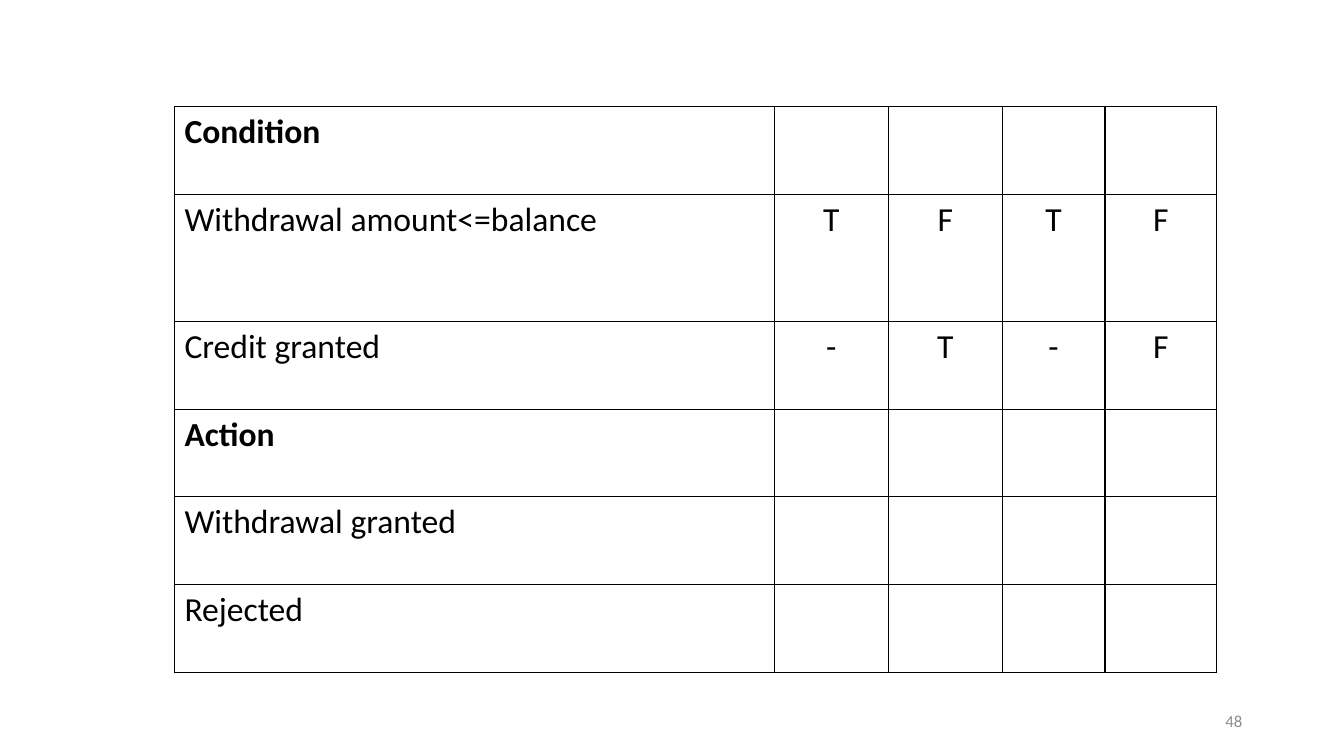
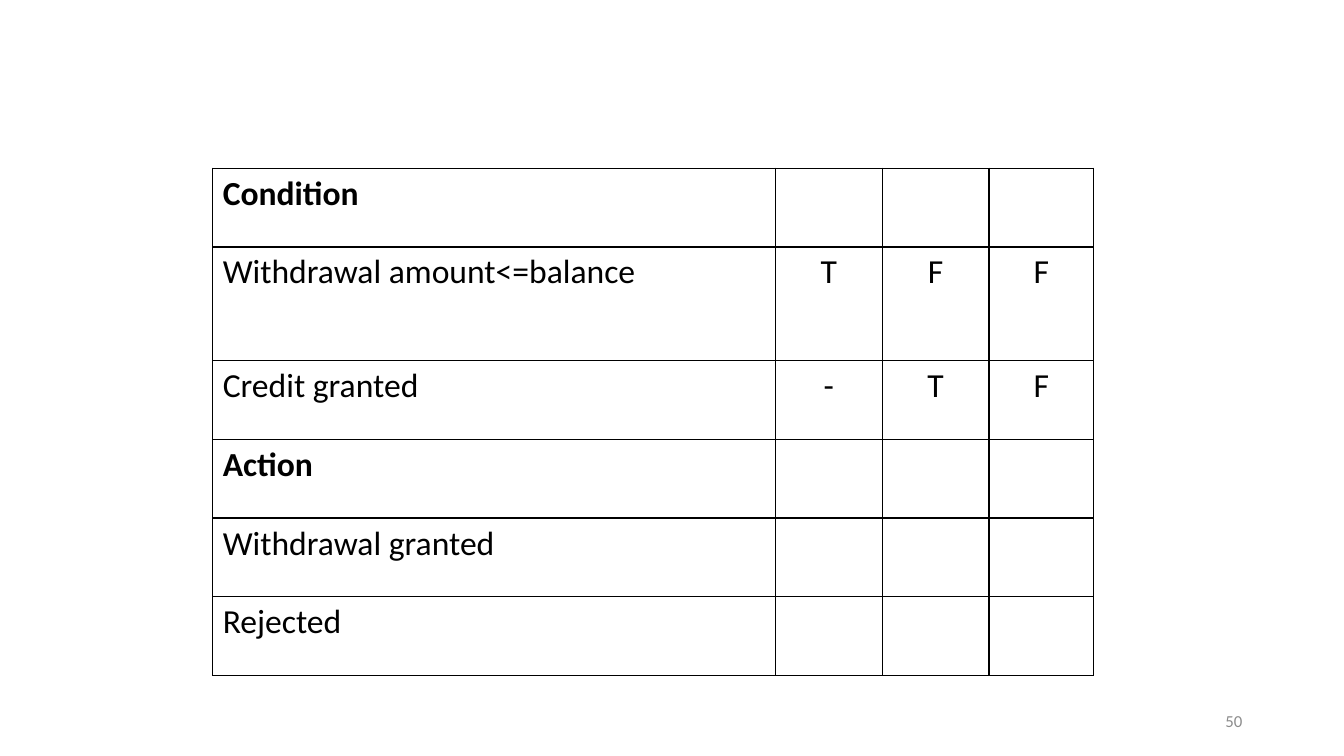
import pptx
import pptx.dml.color
import pptx.enum.text
import pptx.oxml.ns
import pptx.util
from lxml import etree

Inches, Pt = pptx.util.Inches, pptx.util.Pt
RGBColor = pptx.dml.color.RGBColor
Align = pptx.enum.text.PP_ALIGN
qn = pptx.oxml.ns.qn

BLACK = RGBColor(0x00, 0x00, 0x00)
WHITE = RGBColor(0xFF, 0xFF, 0xFF)
GREY = RGBColor(0x8C, 0x8C, 0x8C)
FONT = "Calibri"

# Content: row labels are shared, each rule is one column of condition values
LABELS = ["Condition", "Withdrawal amount<=balance", "Credit granted",
          "Action", "Withdrawal granted", "Rejected"]
HEADINGS = {"Condition", "Action"}
CONDITIONS = LABELS[1:3]
TALL_ROW = "Withdrawal amount<=balance"

SLIDES = [
    {"number": "48", "left": 1.73, "top": 1.06, "rules": ["T-", "FT", "T-", "FF"],
     "widths": [5.95, 1.13, 1.13, 1.02, 1.11], "row": 0.87, "tall": 1.26},
    {"number": "50", "left": 2.11, "top": 1.67, "rules": ["T-", "FT", "FF"],
     "widths": [5.58, 1.06, 1.06, 1.04], "row": 0.78, "tall": 1.13},
]


def write(para, text, size, color, align, bold=False):
    para.alignment = align
    span = para.add_run()
    span.text = text
    span.font.name = FONT
    span.font.size = Pt(size)
    span.font.color.rgb = color
    span.font.bold = bold


def add_borders(cell):
    properties = cell._tc.get_or_add_tcPr()
    for side in ("lnL", "lnR", "lnT", "lnB"):
        line = etree.SubElement(properties, qn("a:" + side), w=str(Pt(1)))
        fill = etree.SubElement(line, qn("a:solidFill"))
        etree.SubElement(fill, qn("a:srgbClr"), val=str(BLACK))


def add_page_number(page, number):
    box = page.shapes.add_textbox(Inches(9.42), Inches(6.95), Inches(3), Inches(0.4))
    frame = box.text_frame
    frame.word_wrap = True
    frame.vertical_anchor = pptx.enum.text.MSO_ANCHOR.MIDDLE
    write(frame.paragraphs[0], number, 12, GREY, Align.RIGHT)


def add_decision_table(page, content):
    widths = content["widths"]
    heights = [content["tall"] if label == TALL_ROW else content["row"]
               for label in LABELS]
    table = page.shapes.add_table(
        len(LABELS), len(widths), Inches(content["left"]), Inches(content["top"]),
        Inches(sum(widths)), Inches(sum(heights))).table
    table.first_row = table.horz_banding = False
    for column, width in zip(table.columns, widths):
        column.width = Inches(width)

    for row, label, height in zip(table.rows, LABELS, heights):
        row.height = Inches(height)
        for cell in row.cells:
            add_borders(cell)
            cell.fill.solid()
            cell.fill.fore_color.rgb = WHITE
        first, *rule_cells = row.cells
        write(first.text_frame.paragraphs[0], label, 24, BLACK, Align.LEFT,
              label in HEADINGS)
        if label in CONDITIONS:
            for cell, rule in zip(rule_cells, content["rules"]):
                value = rule[CONDITIONS.index(label)]
                write(cell.text_frame.paragraphs[0], value, 24, BLACK, Align.CENTER)


def main():
    deck = pptx.Presentation()
    deck.slide_width, deck.slide_height = Inches(13.33), Inches(7.5)
    for content in SLIDES:
        page = deck.slides.add_slide(deck.slide_layouts[6])
        add_page_number(page, content["number"])
        add_decision_table(page, content)
    deck.save("out.pptx")


if __name__ == "__main__":
    main()
